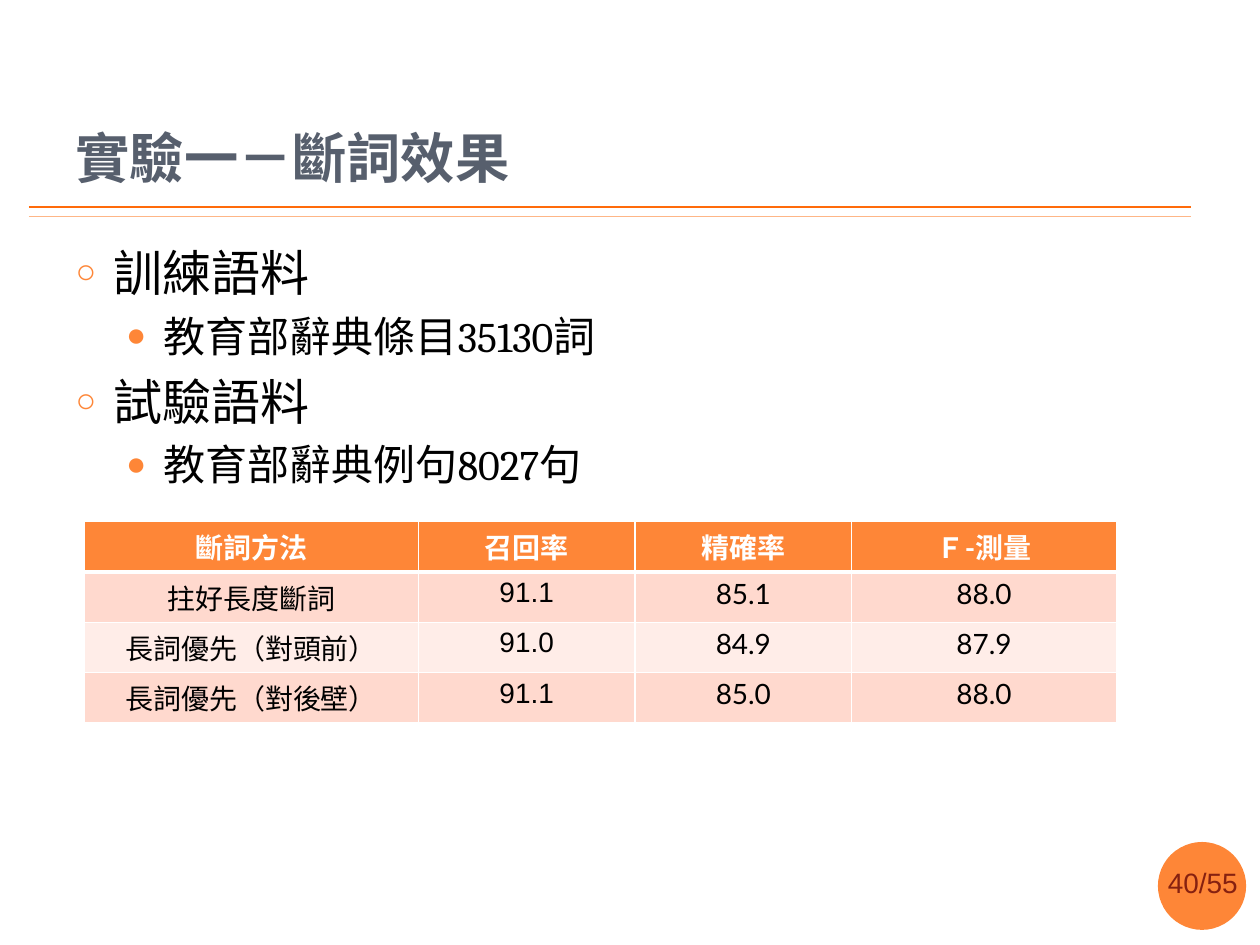
from lxml.etree import SubElement
from pptx import Presentation
from pptx.dml.color import RGBColor
from pptx.enum.shapes import MSO_CONNECTOR, MSO_SHAPE
from pptx.enum.text import MSO_ANCHOR, MSO_AUTO_SIZE, PP_ALIGN
from pptx.oxml import parse_xml
from pptx.oxml.ns import nsdecls, qn
from pptx.util import Inches, Pt

WIDTH, HEIGHT = Inches(10), Inches(7.5)
ORANGE, WHITE, BLACK = "FE8637", "FFFFFF", "000000"
BANDS = ("FFD9CE", "FFEDE8")

# Per list level: text size, bullet, bullet size in %, indent in inches, space before
LEVELS = ((28, "○", 70, 0.3, 6), (24, "●", 80, 0.7, 5))
CORPORA = (
    (0, "訓練語料"),
    (1, "教育部辭典條目35130詞"),
    (0, "試驗語料"),
    (1, "教育部辭典例句8027句"),
)
RESULTS = (
    ("斷詞方法", "召回率", "精確率", "Ｆ-測量"),
    ("拄好長度斷詞", "91.1", "85.1", "88.0"),
    ("長詞優先（對頭前）", "91.0", "84.9", "87.9"),
    ("長詞優先（對後壁）", "91.1", "85.0", "88.0"),
)
COLUMN_WIDTHS = (2.65, 1.72, 1.72, 2.1)


def color(value):
    return RGBColor.from_string(value)


def share(left, top, width, height):
    """Turn shares of the slide into a box in slide units."""
    return (round(left * WIDTH), round(top * HEIGHT),
            round(width * WIDTH), round(height * HEIGHT))


def place(shape, box):
    shape.left, shape.top, shape.width, shape.height = box


def style(para, size, name, ink, bold=False):
    for span in para.runs:
        font = span.font
        font.size, font.name, font.bold = Pt(size), name, bold
        font.color.rgb = color(ink)


def add_rules(page, box):
    """Draw the strong and the pale rule on the top and bottom edge of the box."""
    left, top, width, height = box
    for y, ink in ((top, "FF6B0A"), (top + height, "FEB687")):
        rule = page.shapes.add_connector(MSO_CONNECTOR.STRAIGHT, left, y, left + width, y)
        rule.line.color.rgb = color(ink)
        rule.line.width = Pt(1)
        SubElement(rule._element.spPr, qn("a:effectLst"))


def add_page_number(page, box, label):
    left, top, width, height = box
    disc = page.shapes.add_shape(MSO_SHAPE.OVAL, *box)
    disc.shadow.inherit = False
    disc.fill.solid()
    disc.fill.fore_color.rgb = color(ORANGE)
    disc.line.fill.background()
    number = page.shapes.add_textbox(left - Inches(0.02), top + height // 5,
                                     Inches(0.79), Inches(0.37))
    number.text_frame.word_wrap = False
    number.text_frame.text = label
    style(number.text_frame.paragraphs[0], 16, "Arial", "862110")


def fill_title(page, box, text):
    title = page.shapes.title
    place(title, box)
    frame = title.text_frame
    frame.text = text
    frame.vertical_anchor = MSO_ANCHOR.BOTTOM
    frame.auto_size = MSO_AUTO_SIZE.NONE
    frame.paragraphs[0].alignment = PP_ALIGN.LEFT
    style(frame.paragraphs[0], 31, "Montserrat", "575F6D", bold=True)


def add_bullet(para, char, percent, indent):
    props = para._p.get_or_add_pPr()
    props.set("marL", str(Inches(indent)))
    props.set("indent", str(Inches(-0.3)))
    tint = SubElement(props, qn("a:buClr"))
    SubElement(tint, qn("a:srgbClr"), val=ORANGE)
    SubElement(props, qn("a:buSzPct"), val=str(percent * 1000))
    SubElement(props, qn("a:buFont"), typeface="Arial")
    SubElement(props, qn("a:buChar"), char=char)


def fill_list(page, box, items):
    body = page.placeholders[1]
    place(body, box)
    frame = body.text_frame
    frame.text = "\n".join(text for _, text in items)
    frame.auto_size = MSO_AUTO_SIZE.NONE
    for index, (para, (level, _)) in enumerate(zip(frame.paragraphs, items)):
        size, char, percent, indent, before = LEVELS[level]
        para.level = level
        add_bullet(para, char, percent, indent)
        para.space_before = Pt(before if index else 0)
        style(para, size, "Cambria", BLACK)


def add_borders(cell, widths):
    """Give the cell white borders; widths are points for left, right, top, bottom."""
    props = cell._tc.get_or_add_tcPr()
    for index, (side, width) in enumerate(zip("LRTB", widths)):
        props.insert(index, parse_xml(
            f'<a:ln{side} {nsdecls("a")} w="{Pt(width)}"><a:solidFill>'
            f'<a:srgbClr val="{WHITE}"/></a:solidFill></a:ln{side}>'))


def fill_cell(cell, text, row, column):
    header = row == 0
    cell.fill.solid()
    cell.fill.fore_color.rgb = color(ORANGE if header else BANDS[(row - 1) % 2])
    cell.margin_left = cell.margin_right = Inches(0.09)
    cell.margin_top, cell.margin_bottom = Inches(0.07), Inches(0.05)
    add_borders(cell, (1, 1, 3 if row == 1 else 1, 3 if header else 1))
    cell.text = text
    para = cell.text_frame.paragraphs[0]
    para.alignment = PP_ALIGN.CENTER
    para.line_spacing = 0.88
    arial_column = 2 if header else 1
    style(para, 16, "Arial" if column == arial_column else "Lato",
          WHITE if header else BLACK, bold=header)


def add_results(page, box, rows):
    table = page.shapes.add_table(len(rows), len(rows[0]), *box).table
    for column, width in zip(table.columns, COLUMN_WIDTHS):
        column.width = Inches(width)
    for r, values in enumerate(rows):
        for c, value in enumerate(values):
            fill_cell(table.cell(r, c), value, r, c)


def main():
    deck = Presentation()
    deck.slide_width, deck.slide_height = WIDTH, HEIGHT
    page = deck.slides.add_slide(deck.slide_layouts[1])
    add_rules(page, share(0.023, 0.219, 0.922, 0.01))
    add_page_number(page, share(0.919, 0.891, 0.07, 0.093), "40/55")
    fill_title(page, share(0.05, 0.04, 0.864, 0.167), "實驗一－斷詞效果")
    fill_list(page, share(0.05, 0.25, 0.817, 0.523), CORPORA)
    add_results(page, share(0.067, 0.552, 0.819, 0.213), RESULTS)
    deck.save("out.pptx")


if __name__ == "__main__":
    main()
